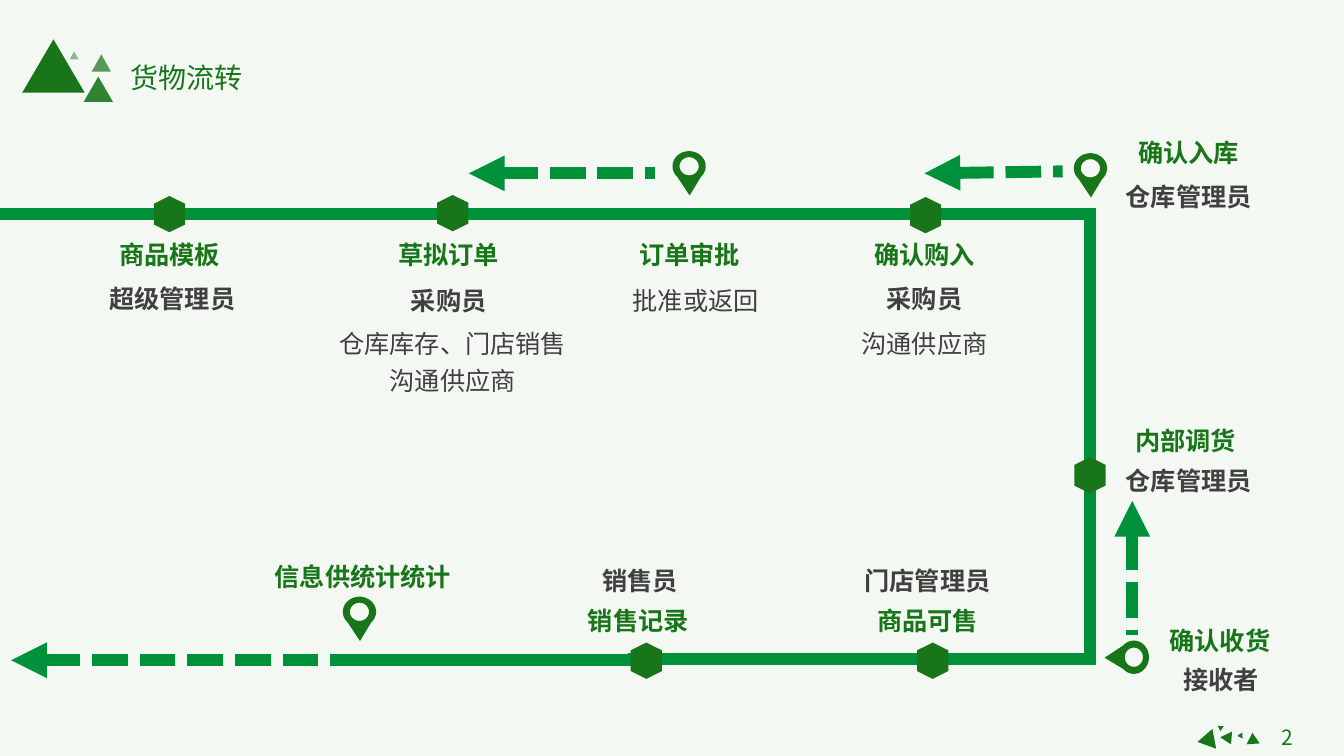
import math
from lxml import etree
from pptx import Presentation
from pptx.dml.color import RGBColor
from pptx.enum.dml import MSO_LINE
from pptx.enum.shapes import MSO_CONNECTOR, MSO_SHAPE
from pptx.enum.text import MSO_ANCHOR, MSO_AUTO_SIZE, PP_ALIGN
from pptx.oxml.ns import qn
from pptx.util import Inches, Pt

DARK_GREEN = RGBColor(0x19, 0x75, 0x19)
ROUTE_GREEN = RGBColor(0x00, 0x91, 0x3A)
GRAY = RGBColor(0x40, 0x40, 0x40)
PALE_GREEN = RGBColor(0xF3, 0xF8, 0xF3)
FONT = "Noto Sans CJK SC"
STRAIGHT = MSO_CONNECTOR.STRAIGHT
TRIANGLE = MSO_SHAPE.ISOSCELES_TRIANGLE
HEXAGON = MSO_SHAPE.HEXAGON
DASH = MSO_LINE.SQUARE_DOT
CENTER = PP_ALIGN.CENTER
TOP = MSO_ANCHOR.TOP
GROW = MSO_AUTO_SIZE.SHAPE_TO_FIT_TEXT

TOP_ROW, BOTTOM_ROW = 2.12, 6.54
RIGHT_COLUMN = 10.81


def write(shape, lines, size, color, bold=False, spacing=1.25):
    frame = shape.text_frame
    frame.text = "\n".join(lines)
    frame.word_wrap = False
    frame.auto_size = GROW
    frame.vertical_anchor = TOP
    for paragraph in frame.paragraphs:
        paragraph.alignment = CENTER
        paragraph.line_spacing = spacing
        font = paragraph.runs[0].font
        font.name, font.size, font.bold = FONT, Pt(size), bold
        font.color.rgb = color
        properties = paragraph.runs[0]._r.get_or_add_rPr()
        etree.SubElement(properties, qn("a:ea"), typeface=FONT)


def paint(shape, rotation=0, opacity=100):
    shape.shadow.inherit = False
    shape.fill.solid()
    shape.fill.fore_color.rgb = DARK_GREEN
    shape.line.fill.background()
    shape.rotation = rotation
    if opacity < 100:
        color = shape._element.spPr.find(".//" + qn("a:srgbClr"))
        etree.SubElement(color, qn("a:alpha"), val=str(opacity * 1000))


presentation = Presentation()
presentation.slide_width = Inches(13.33)
presentation.slide_height = Inches(7.5)
slide = presentation.slides.add_slide(presentation.slide_layouts[5])
shapes = slide.shapes
slide.background.fill.solid()
slide.background.fill.fore_color.rgb = PALE_GREEN

title = shapes.title
title.left, title.top, title.width, title.height = map(Inches, (1.19, 0.55, 1.32, 0.44))
write(title, ["货物流转"], 20, DARK_GREEN, spacing=1)

routes = [
    (-0.04, TOP_ROW, 1.73, TOP_ROW, False),
    (1.63, TOP_ROW, 4.48, TOP_ROW, False),
    (4.48, TOP_ROW, 7.44, TOP_ROW, False),
    (7, TOP_ROW, 9.65, TOP_ROW, False),
    (9.4, TOP_ROW, 10.87, TOP_ROW, False),
    (RIGHT_COLUMN, TOP_ROW, RIGHT_COLUMN, 4.72, False),
    (RIGHT_COLUMN, 4.66, RIGHT_COLUMN, 6.56, False),
    (9.4, BOTTOM_ROW, 10.87, BOTTOM_ROW, False),
    (6.23, BOTTOM_ROW, 9.17, BOTTOM_ROW, False),
    (3.4, 6.55, 6.34, 6.55, False),
    (4.65, 1.72, 6.5, 1.72, True),
    (9.17, 1.72, 10.54, 1.7, True),
    (11.23, 4.97, 11.23, 6.3, True),
    (0.11, 6.55, 3.73, 6.55, True),
]
for x1, y1, x2, y2, dashed in routes:
    route = shapes.add_connector(STRAIGHT, *map(Inches, (x1, y1, x2, y2)))
    route.line.color.rgb = ROUTE_GREEN
    route.line.width = Pt(8.5)
    if dashed:
        route.line.dash_style = DASH
        etree.SubElement(route.line._get_or_add_ln(), qn("a:headEnd"), type="triangle")
    etree.SubElement(route._element.spPr, qn("a:effectLst"))

triangles = [
    (0.22, 0.39, 0.62, 0.53, 0, 100),
    (0.83, 0.76, 0.29, 0.25, 0, 89),
    (0.69, 0.51, 0.09, 0.08, 0, 47),
    (0.91, 0.54, 0.19, 0.17, 0, 72),
    (12.12, 7.28, 0.13, 0.11, 153.9, 100),
    (11.86, 7.26, 0.2, 0.17, 259.5, 100),
    (12.36, 7.27, 0.13, 0.11, 356.2, 100),
    (12.07, 7.19, 0.06, 0.05, 303.5, 100),
    (12.28, 7.28, 0.06, 0.05, 145.8, 100),
]
for left, top, width, height, rotation, opacity in triangles:
    triangle = shapes.add_shape(TRIANGLE, *map(Inches, (left, top, width, height)))
    paint(triangle, rotation, opacity)

stops = [(1.5, 1.97), (4.31, 1.96), (9, 1.98), (10.63, 4.56), (9.07, 6.4), (6.23, 6.4)]
for left, top in stops:
    stop = shapes.add_shape(HEXAGON, *map(Inches, (left, top, 0.36, 0.31)))
    stop.adjustments[0] = 0.249
    paint(stop, 90)

pins = [(6.67, 1.5, 0), (10.65, 1.52, 0), (11.01, 6.3, 90), (3.4, 5.92, 0)]
for left, top, rotation in pins:
    contours = []
    for radius_x, radius_y, first, last in [(0.165, 0.15, 135, 405), (0.095, 0.09, 0, 350)]:
        contours.append([
            (Inches(left + 0.165 + radius_x * math.cos(math.radians(angle))),
             Inches(top + 0.15 + radius_y * math.sin(math.radians(angle))))
            for angle in range(first, last + 1, 10)
        ])
    outline, hole = contours
    outline.append((Inches(left + 0.17), Inches(top + 0.44)))
    builder = shapes.build_freeform(*outline[0])
    builder.add_line_segments(outline[1:], close=True)
    builder.move_to(*hole[0])
    builder.add_line_segments(hole[1:], close=True)
    paint(builder.convert_to_shape(), rotation)

labels = [
    (1.68, 2.25, ["商品模板"], DARK_GREEN, True),
    (1.71, 2.69, ["超级管理员"], GRAY, True),
    (4.45, 2.25, ["草拟订单"], DARK_GREEN, True),
    (4.45, 2.71, ["采购员"], GRAY, True),
    (4.49, 3.13, ["仓库库存、门店销售", "沟通供应商"], GRAY, False),
    (6.84, 2.25, ["订单审批"], DARK_GREEN, True),
    (6.9, 2.71, ["批准或返回"], GRAY, False),
    (9.17, 2.25, ["确认购入"], DARK_GREEN, True),
    (9.17, 2.69, ["采购员"], GRAY, True),
    (9.17, 3.13, ["沟通供应商"], GRAY, False),
    (11.79, 1.24, ["确认入库"], DARK_GREEN, True),
    (11.79, 1.67, ["仓库管理员"], GRAY, True),
    (11.76, 4.1, ["内部调货"], DARK_GREEN, True),
    (11.79, 4.49, ["仓库管理员"], GRAY, True),
    (12.1, 6.08, ["确认收货"], DARK_GREEN, True),
    (12.11, 6.47, ["接收者"], GRAY, True),
    (9.2, 5.48, ["门店管理员"], GRAY, True),
    (9.2, 5.88, ["商品可售"], DARK_GREEN, True),
    (6.35, 5.48, ["销售员"], GRAY, True),
    (6.33, 5.88, ["销售记录"], DARK_GREEN, True),
    (3.6, 5.44, ["信息供统计统计"], DARK_GREEN, True),
]
for center, top, lines, color, bold in labels:
    width = 0.25 * len(lines[0]) + 0.21
    height = 0.37 * len(lines) + 0.08
    label = shapes.add_textbox(*map(Inches, (center - width / 2, top, width, height)))
    write(label, lines, 18, color, bold)

page_number = shapes.add_textbox(*map(Inches, (12.43, 7.14, 0.68, 0.35)))
write(page_number, ["2"], 15, DARK_GREEN, spacing=1)

presentation.save("out.pptx")
